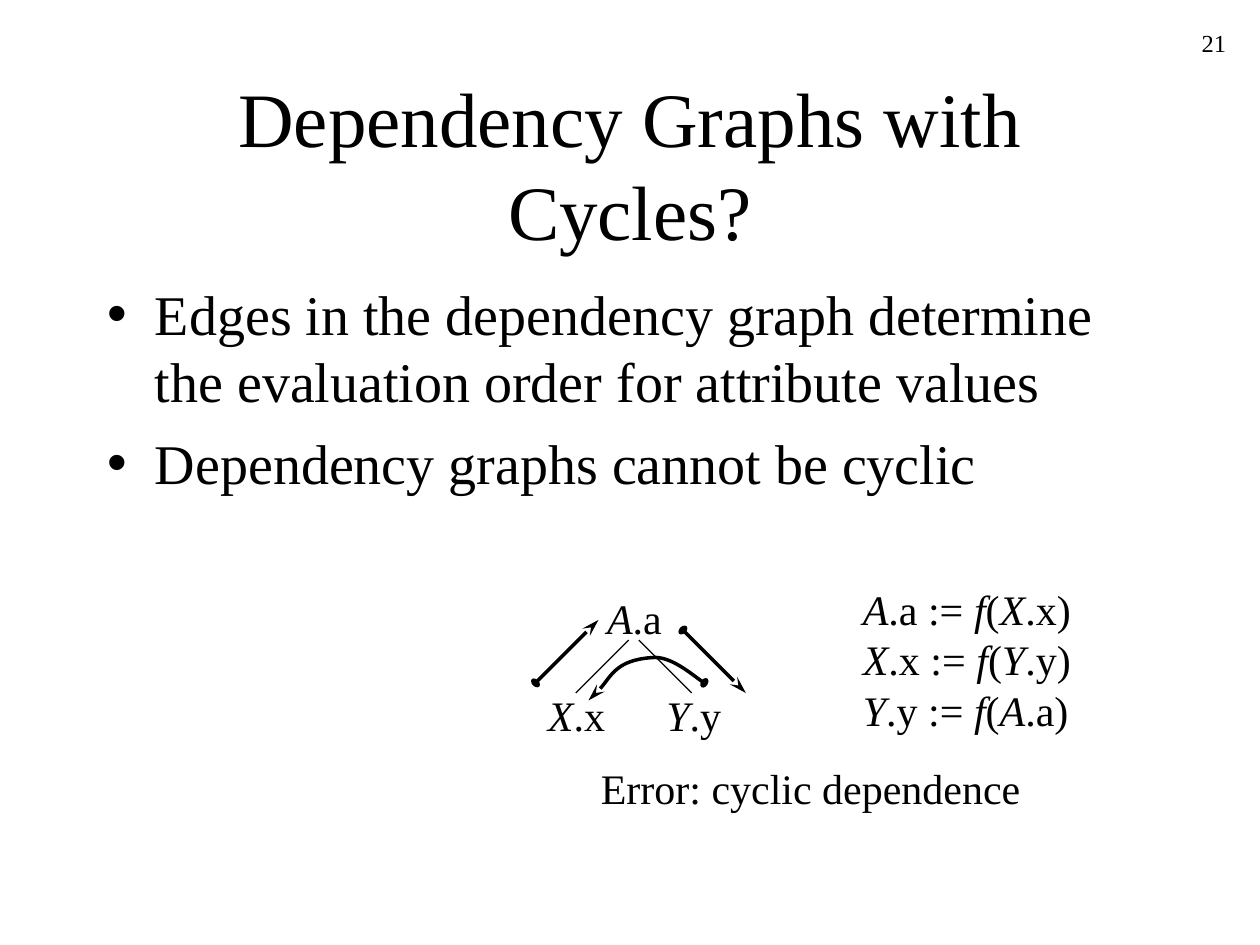
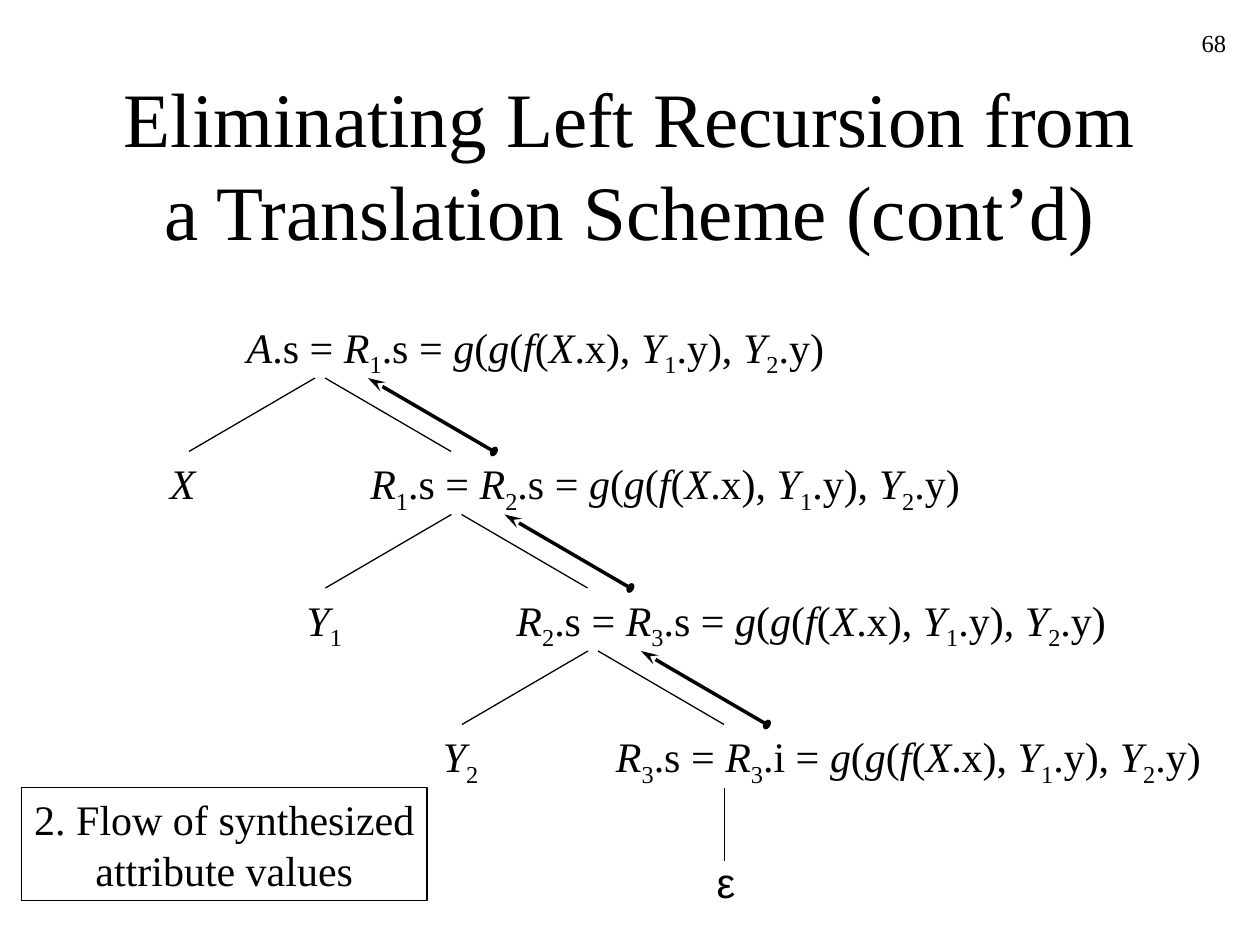
from itertools import groupby

from lxml import etree
from pptx import Presentation
from pptx.dml.color import RGBColor
from pptx.enum.shapes import MSO_CONNECTOR, MSO_SHAPE
from pptx.enum.text import MSO_ANCHOR, MSO_AUTO_SIZE, PP_ALIGN
from pptx.oxml.ns import qn
from pptx.util import Inches, Pt

BLACK = RGBColor(0, 0, 0)
SERIF, SANS = "Times New Roman", "Arial"
LEFT, CENTER, RIGHT = PP_ALIGN.LEFT, PP_ALIGN.CENTER, PP_ALIGN.RIGHT
MIDDLE = MSO_ANCHOR.MIDDLE
FIXED, GROW = MSO_AUTO_SIZE.NONE, MSO_AUTO_SIZE.SHAPE_TO_FIT_TEXT
STRAIGHT, RECT = MSO_CONNECTOR.STRAIGHT, MSO_SHAPE.RECTANGLE
THIN, THICK = 0.75, 2
ITALIC = "ARXYfg"

# Shared places: left, top, width, height
TITLE = (0.75, 0.67, 8.5, 1.25)
BODY = (0.75, 2.17, 8.5, 4.5)
PAGE = (7.75, 0.17, 2.08, 0.5)

# Slide on cycles
CYCLE = {
    "page": "21",
    "title": "Dependency Graphs with Cycles?",
    "points": ["Edges in the dependency graph determine the evaluation order "
               "for attribute values",
               "Dependency graphs cannot be cyclic"],
    "rules": ["A.a := f(X.x)", "X.x := f(Y.y)", "Y.y := f(A.a)"],
    "nodes": [("A.a", (4.72, 4.65, 0.63, 0.5)),
              ("X.x", (4.25, 5.42, 0.65, 0.5)),
              ("Y.y", (5.19, 5.42, 0.63, 0.5))],
    "edges": [((4.99, 5.08), (4.57, 5.5)), ((5.07, 5.08), (5.49, 5.5))],
    "flows": [((4.25, 5.42), (4.75, 4.92)), ((5.42, 5), (5.92, 5.5))],
    "curve": [(5.59, 5.42), (5.52, 5.38), (5.32, 5.2), (5.17, 5.22),
              (4.89, 5.24), (4.77, 5.49), (4.67, 5.56)],
    "error": "Error: cyclic dependence",
}

# Slide on the parse tree: one row for each level
VALUE = "g(g(f(X.x), Y1.y), Y2.y)"
TREE = {
    "page": "68",
    "title": "Eliminating Left Recursion from a Translation Scheme (cont’d)",
    "nodes": [("A.s = R1.s = ", 1.86, 4.78), ("R1.s = R2.s = ", 2.84, 4.88),
              ("R2.s = R3.s = ", 4, 4.88), ("R3.s = R3.i = ", 4.79, 4.84)],
    "leaves": [("X", 0.4, 0.5), ("Y1", 0.48, 0.56), ("Y2", 0.48, 0.56)],
    "note": ["2. Flow of synthesized", "attribute values"],
}
STEP = 13 / 12          # from level to level, both ways
DROP = 7 / 12           # height of a branch


def inch(*nums):
    return [Inches(n) for n in nums]


def style(run, size, font=SERIF):
    run.font.size, run.font.name = Pt(size), font
    run.font.color.rgb = BLACK


def kind(char):
    return "sub" if char.isdigit() else "var" if char in ITALIC else "text"


def add_math(para, line, size):
    """Set variables in italics and digits as subscripts."""
    for name, chars in groupby(line, kind):
        run = para.add_run()
        run.text = "".join(chars)
        style(run, size)
        run.font.italic = name == "var"
        if name == "sub":
            run.font._element.set("baseline", "-25000")


def fill_text(shape, lines, size=24, align=LEFT, font=SERIF, math=False,
              wrap=True, fit=FIXED):
    frame = shape.text_frame
    frame.word_wrap, frame.auto_size = wrap, fit
    para = frame.paragraphs[0]
    para.alignment = align
    for i, line in enumerate(lines):
        if i:
            para.add_line_break()
        if math:
            add_math(para, line, size)
        else:
            run = para.add_run()
            run.text = line
            style(run, size, font)


def add_label(slide, lines, box, **look):
    """Add left-aligned text with spare room on the right, so no line breaks."""
    label = slide.shapes.add_textbox(*inch(*box))
    fill_text(label, lines, fit=GROW, **look)
    label.text_frame.margin_right = 0


def draw(shape, width, flow):
    """Style a line; a flow runs from a dot to an arrowhead."""
    shape.line.color.rgb, shape.line.width = BLACK, Pt(width)
    if flow:
        pen = shape.line._get_or_add_ln()
        for end, mark, size in (("a:headEnd", "oval", "sm"),
                                ("a:tailEnd", "stealth", "lg")):
            etree.SubElement(pen, qn(end), type=mark, w="med", len=size)


def add_line(slide, start, end, flow=False):
    line = slide.shapes.add_connector(STRAIGHT, *inch(*start, *end))
    draw(line, THICK if flow else THIN, flow)
    etree.SubElement(line._element.spPr, qn("a:effectLst"))


def add_curve(slide, points):
    """Turn each three segments of an open outline into one cubic curve."""
    spots = [inch(*p) for p in points]
    form = slide.shapes.build_freeform(*spots[0])
    form.add_line_segments(spots[1:], close=False)
    shape = form.convert_to_shape()
    shape.shadow.inherit = False
    shape.fill.background()
    draw(shape, THICK, True)
    steps = list(shape._element.iter(qn("a:lnTo")))
    track = steps[0].getparent()
    for i in range(0, len(steps), 3):
        cubic = etree.SubElement(track, qn("a:cubicBezTo"))
        for step in steps[i:i + 3]:
            cubic.append(step[0])
            track.remove(step)


def place(shape, box):
    shape.left, shape.top, shape.width, shape.height = inch(*box)


def start_slide(deck, layout, data):
    slide = deck.slides.add_slide(deck.slide_layouts[layout])
    page = slide.shapes.add_textbox(*inch(*PAGE))
    fill_text(page, [data["page"]], size=14, align=RIGHT)
    title = slide.shapes.title
    place(title, TITLE)
    fill_text(title, [data["title"]], size=44, align=CENTER)
    frame = title.text_frame
    frame.vertical_anchor = MIDDLE
    frame.margin_left = frame.margin_right = Inches(0.15)
    return slide


def add_points(body, points):
    place(body, BODY)
    frame = body.text_frame
    frame.auto_size = FIXED
    for i, point in enumerate(points):
        para = frame.add_paragraph() if i else frame.paragraphs[0]
        para.space_before = Pt(8)
        props = para._p.get_or_add_pPr()
        props.set("marL", str(Inches(0.38)))
        props.set("indent", str(-Inches(0.38)))
        etree.SubElement(props, qn("a:buChar"), char="•")
        run = para.add_run()
        run.text = point
        style(run, 32)


def build_cycle(deck):
    slide = start_slide(deck, 1, CYCLE)
    add_points(slide.placeholders[1], CYCLE["points"])
    add_label(slide, CYCLE["rules"], (6.75, 4.58, 1.93, 1.3), math=True)
    for name, box in CYCLE["nodes"]:
        add_label(slide, [name], box, math=True)
    for start, end in CYCLE["edges"]:
        add_line(slide, start, end)
    add_curve(slide, CYCLE["curve"])
    for start, end in CYCLE["flows"]:
        add_line(slide, start, end, flow=True)
    add_label(slide, [CYCLE["error"]], (4.67, 6, 3.53, 0.5))


def build_tree(deck):
    slide = start_slide(deck, 5, TREE)
    for row, (name, left, width) in enumerate(TREE["nodes"]):
        box = (left, 2.5 + row * STEP, width, 0.56)
        add_label(slide, [name + VALUE], box, math=True)
    for row, (name, width, height) in enumerate(TREE["leaves"]):
        move = row * STEP
        top, low = 3 + move, 3 + DROP + move
        add_label(slide, [name], (1.25 + move, low, width, height), math=True)
        add_line(slide, (2.5 + move, top), (1.5 + move, low))
        add_line(slide, (2.58 + move, top), (3.58 + move, low))
        add_line(slide, (3.92 + move, low), (2.92 + move, top), flow=True)
    add_line(slide, (5.75, 6.25), (5.75, 6.25 + DROP))
    add_label(slide, ["ε"], (5.59, 6.75, 0.34, 0.5), font=SANS)
    note = slide.shapes.add_shape(RECT, *inch(0.17, 6.25, 3.22, 0.9))
    note.shadow.inherit = False
    note.fill.background()
    draw(note, THIN, False)
    fill_text(note, TREE["note"], align=CENTER, wrap=False, fit=GROW)


def main():
    deck = Presentation()
    deck.slide_width, deck.slide_height = inch(10, 7.5)
    build_cycle(deck)
    build_tree(deck)
    deck.save("out.pptx")


if __name__ == "__main__":
    main()
